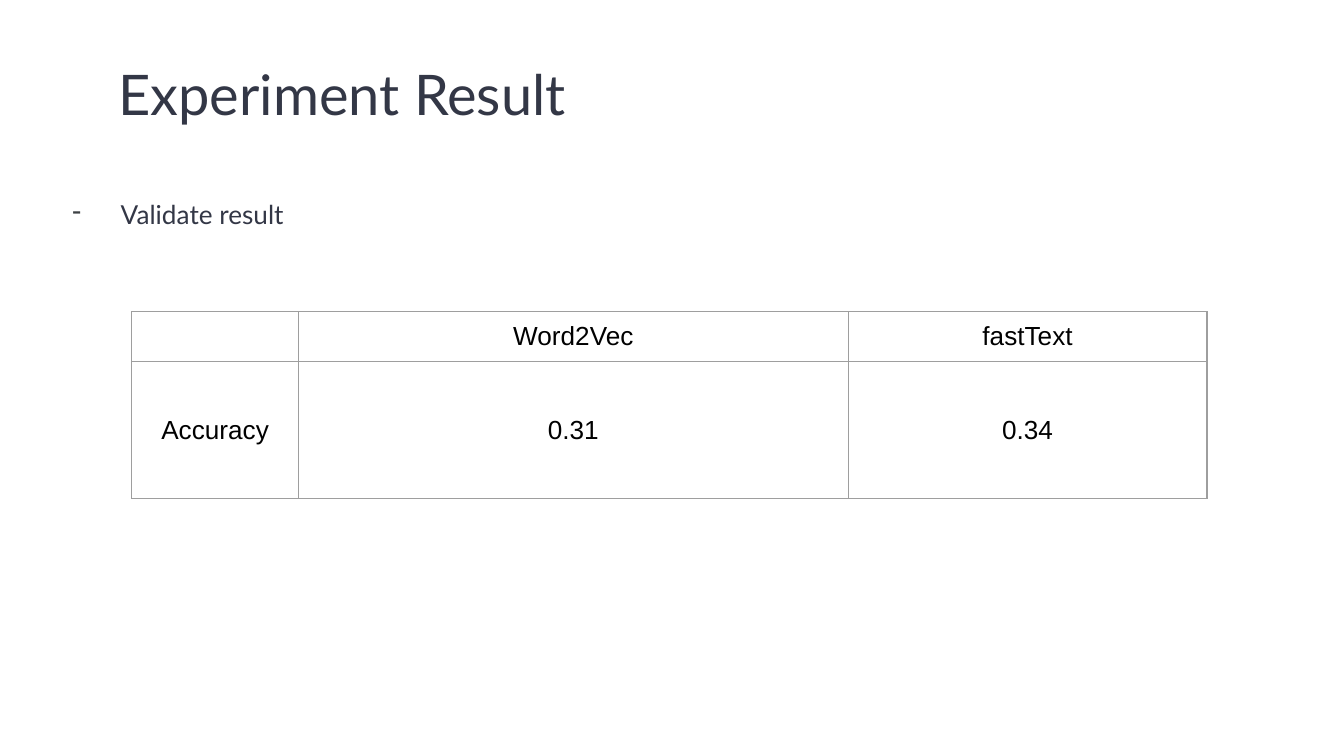
import dataclasses

import lxml.etree
import pptx
import pptx.dml.color
import pptx.enum.text
import pptx.oxml.ns
import pptx.util

Pt = pptx.util.Pt
Align = pptx.enum.text.PP_ALIGN
Anchor = pptx.enum.text.MSO_ANCHOR
qn = pptx.oxml.ns.qn

INK = "333746"
DASH = "3D4144"
GRID = "9E9E9E"
COLS = (89.3, 294.5, 192.2)
ROWS = (26.8, 73.4)
DATA = (("", "Word2Vec", "fastText"), ("Accuracy", "0.31", "0.34"))


@dataclasses.dataclass
class Box:
    left: float
    top: float
    width: float
    height: float

    def place(self) -> tuple:
        return tuple(Pt(v) for v in dataclasses.astuple(self))


@dataclasses.dataclass
class Style:
    size: float
    face: str
    color: str


HEAD = Style(30, "Lato", INK)
BODY = Style(14, "Lato", INK)
CELL = Style(14, "Arial", "000000")


def rgb(code: str) -> pptx.dml.color.RGBColor:
    return pptx.dml.color.RGBColor.from_string(code)


def style(para, look: Style) -> None:
    font = para.font
    font.size, font.name, font.bold = Pt(look.size), look.face, False
    font.color.rgb = rgb(look.color)


def write(shape, text: str, look: Style):
    """Fill a padded, top-anchored box with one line and return its paragraph."""
    frame = shape.text_frame
    frame.word_wrap = True
    frame.auto_size = pptx.enum.text.MSO_AUTO_SIZE.NONE
    frame.vertical_anchor = Anchor.TOP
    frame.margin_left = frame.margin_right = Pt(7.2)
    frame.margin_top = frame.margin_bottom = Pt(7.2)
    para = frame.paragraphs[0]
    para.text = text
    para.alignment = Align.LEFT
    para.line_spacing = 1.15
    style(para, look)
    return para


def add_title(slide, text: str, box: Box) -> None:
    title = slide.shapes.title
    title.left, title.top, title.width, title.height = box.place()
    write(title, text, HEAD)


def add_point(slide, text: str, box: Box) -> None:
    """Add a box with one dashed list item."""
    shape = slide.shapes.add_textbox(*box.place())
    para = shape.text_frame.paragraphs[0]
    props = para._p.get_or_add_pPr()
    props.set("marL", str(Pt(36)))
    props.set("indent", str(-Pt(25.9)))
    tint = lxml.etree.SubElement(props, qn("a:buClr"))
    lxml.etree.SubElement(tint, qn("a:srgbClr"), val=DASH)
    lxml.etree.SubElement(props, qn("a:buChar"), char="-")
    write(shape, text, BODY)


def border(cell) -> None:
    props = cell._tc.get_or_add_tcPr()
    for i, side in enumerate(("lnL", "lnR", "lnT", "lnB")):
        line = lxml.etree.Element(qn("a:" + side), w=str(Pt(0.75)))
        fill = lxml.etree.SubElement(line, qn("a:solidFill"))
        lxml.etree.SubElement(fill, qn("a:srgbClr"), val=GRID)
        props.insert(i, line)


def add_grid(slide, box: Box) -> None:
    frame = slide.shapes.add_table(len(ROWS), len(COLS), *box.place())
    table = frame.table
    table.first_row = table.horz_banding = False
    for col, width in zip(table.columns, COLS):
        col.width = Pt(width)
    for row, height, texts in zip(table.rows, ROWS, DATA):
        row.height = Pt(height)
        for cell, text in zip(row.cells, texts):
            cell.margin_top = cell.margin_bottom = Pt(0)
            cell.vertical_anchor = Anchor.MIDDLE
            cell.fill.background()
            border(cell)
            para = cell.text_frame.paragraphs[0]
            para.text = text
            para.alignment = Align.CENTER
            style(para, CELL)


def main() -> None:
    deck = pptx.Presentation()
    deck.slide_width, deck.slide_height = Pt(720), Pt(405)
    slide = deck.slides.add_slide(deck.slide_layouts.get_by_name("Title Only"))
    add_title(slide, "Experiment Result", Box(56.2, 19.4, 607.7, 55.4))
    add_grid(slide, Box(70.6, 167, sum(COLS), sum(ROWS)))
    add_point(slide, "Validate result", Box(21.6, 96.5, 195, 40.3))
    deck.save("out.pptx")


if __name__ == "__main__":
    main()
